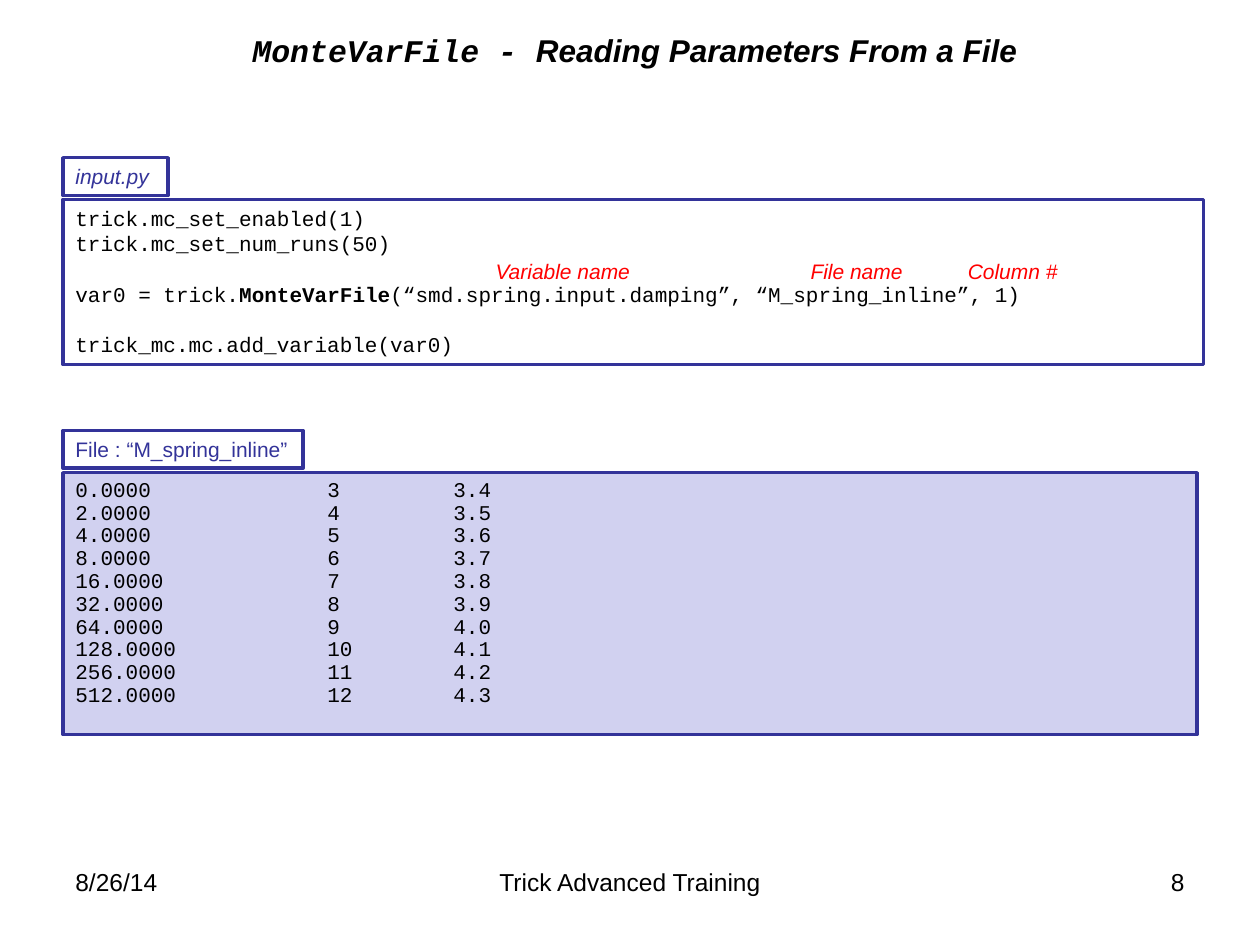
from lxml.etree import SubElement
from pptx import Presentation
from pptx.dml.color import RGBColor
from pptx.enum.shapes import MSO_SHAPE as Kind
from pptx.enum.text import MSO_ANCHOR as Anchor, PP_ALIGN as Align
from pptx.oxml import parse_xml
from pptx.oxml.ns import nsdecls, qn
from pptx.util import Cm, Pt

BLACK = RGBColor(0x00, 0x00, 0x00)
WHITE = RGBColor(0xFF, 0xFF, 0xFF)
RED = RGBColor(0xFF, 0x00, 0x00)
NAVY = RGBColor(0x33, 0x33, 0x99)
LILAC = RGBColor(0xD1, 0xD1, 0xF0)
SANS, MONO = "Arial", "Courier New"

deck = Presentation()
deck.slide_width, deck.slide_height = Cm(25.4), Cm(19.05)
slide = deck.slides.add_slide(deck.slide_layouts[6])


def add_box(x, y, w, h, fill=None, line=None, wrap=True):
    place = Cm(x), Cm(y), Cm(w), Cm(h)
    if line is None:
        box = slide.shapes.add_textbox(*place)
    else:
        box = slide.shapes.add_shape(Kind.RECTANGLE, *place)
        box.shadow.inherit = False
        box.line.color.rgb = line
        box.line.width = Pt(2)
        if fill is None:
            box.fill.background()
        else:
            box.fill.solid()
            box.fill.fore_color.rgb = fill
    frame = box.text_frame
    frame.word_wrap = wrap
    frame.vertical_anchor = Anchor.TOP
    return frame


def style(para, size, color=BLACK, name=SANS, align=Align.LEFT, italic=False):
    para.alignment = align
    font = para.font
    font.size, font.name, font.italic = Pt(size), name, italic
    font.color.rgb = color


title = add_box(2.54, 0.43, 20.52, 1.14)
title.vertical_anchor = Anchor.MIDDLE
para = title.paragraphs[0]
style(para, 18, align=Align.CENTER, italic=True)
para.font.bold = True
for text, name in (("MonteVarFile - ", MONO), ("Reading Parameters From a File", SANS)):
    run = para.add_run()
    run.text = text
    run.font.name = name

for text, x, w, align in (
    ("8/26/14", 1.27, 5.92, Align.LEFT),
    ("Trick Advanced Training", 8.68, 8.04, Align.CENTER),
    ("8", 18.21, 5.92, Align.RIGHT),
):
    para = add_box(x, 17.36, w, 1.32).paragraphs[0]
    para.text = text
    style(para, 14, align=align)

code = add_box(1.27, 4.02, 22.99, 3.33, WHITE, NAVY)
lines = (
    (["trick.mc_set_enabled(1)"], 0),
    (["trick.mc_set_num_runs(50)"], 0),
    (["var0 = trick.", "MonteVarFile", "(“smd.spring.input.damping”, “M_spring_inline”, 1)"], 14.4),
    (["trick_mc.mc.add_variable(var0)"], 14.4),
)
for i, (parts, gap) in enumerate(lines):
    para = code.add_paragraph() if i else code.paragraphs[0]
    para.line_spacing = Pt(14.4)
    para.space_before = Pt(gap)
    style(para, 12, name=MONO)
    for part in parts:
        run = para.add_run()
        run.text = part
        if part == "MonteVarFile":
            run.font.bold = True

data = add_box(1.27, 9.53, 22.86, 5.28, LILAC, NAVY)
keys = [0] + [2 ** n for n in range(1, 10)]
for i, key in enumerate(keys):
    para = data.add_paragraph() if i else data.paragraphs[0]
    para.text = f"{key:.4f}\t\t{i + 3}\t{3.4 + i / 10:.1f}"
    para.line_spacing = Pt(13)
    tabs = parse_xml(f"<a:tabLst {nsdecls('a')}/>")
    for n in (1, 2, 3):
        SubElement(tabs, qn("a:tab"), pos=str(Cm(2.54 * n)), algn="l")
    para._p.get_or_add_pPr().insert(1, tabs)
    style(para, 12, name=MONO)

for text, x, w in (
    ("Variable name", 9.74, 3.35),
    ("File name", 16.09, 2.49),
    ("Column #", 19.26, 2.44),
):
    para = add_box(x, 5.08, w, 0.76, wrap=False).paragraphs[0]
    para.text = text
    style(para, 12, RED, italic=True)

for text, y, w, italic in (
    ("input.py", 3.18, 2.12, True),
    ("File : “M_spring_inline”", 8.68, 4.84, False),
):
    para = add_box(1.27, y, w, 0.76, line=NAVY, wrap=False).paragraphs[0]
    para.text = text
    style(para, 12, NAVY, italic=italic)

deck.save("out.pptx")
